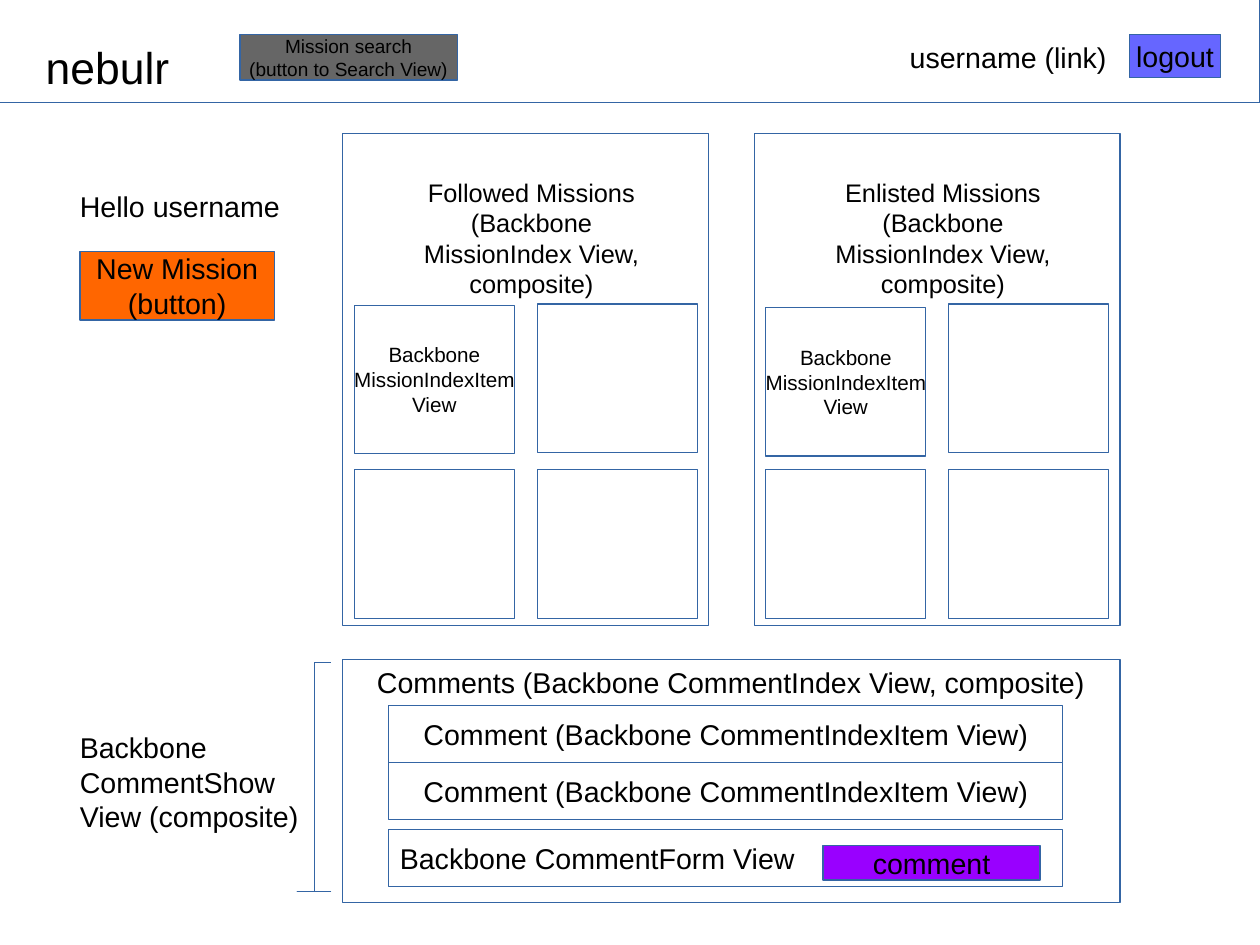
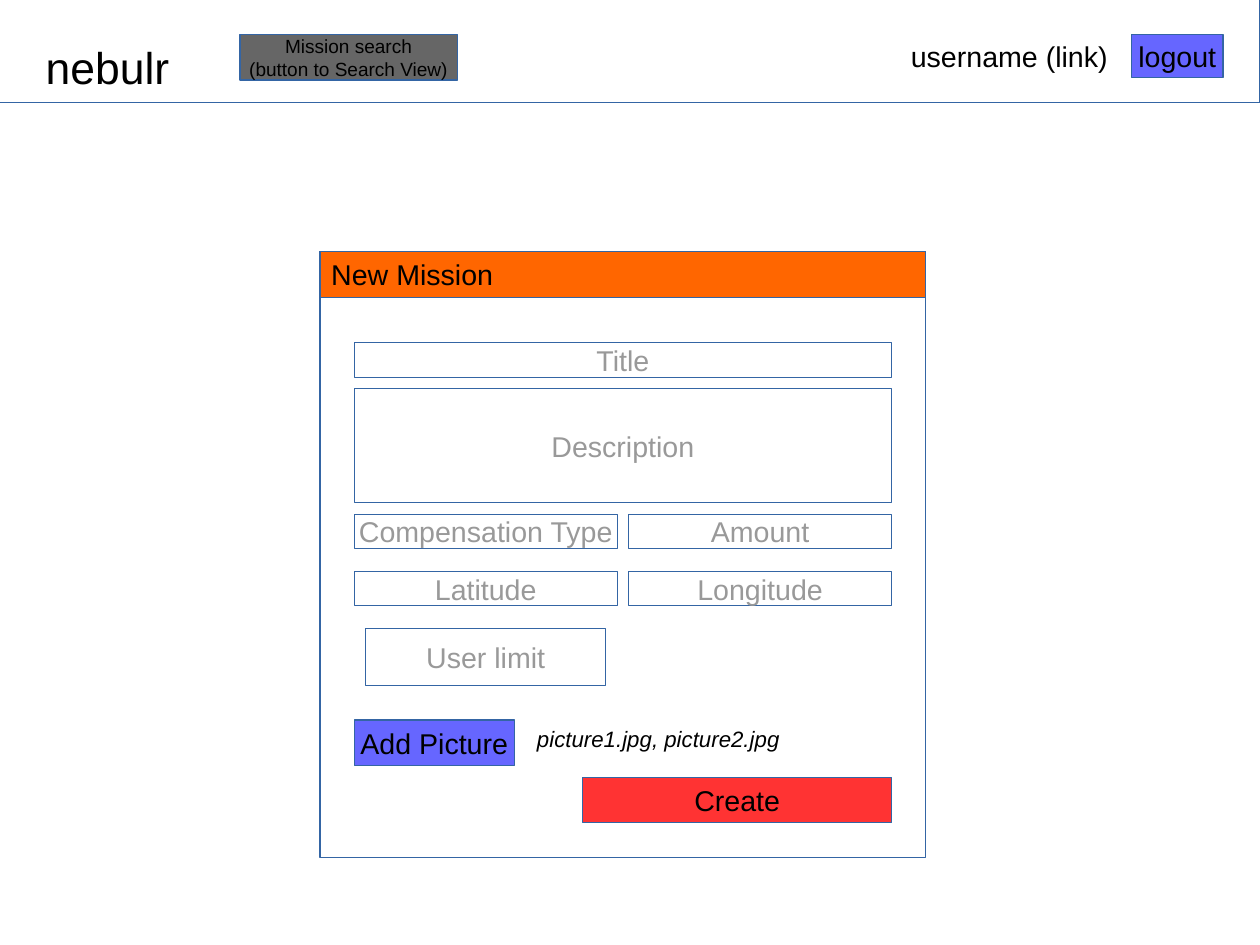
from dataclasses import dataclass

from pptx import Presentation
from pptx.dml.color import RGBColor
from pptx.enum.shapes import MSO_SHAPE as Preset
from pptx.enum.text import MSO_ANCHOR as Anchor, MSO_AUTO_SIZE as AutoSize, PP_ALIGN as Align
from pptx.oxml.ns import qn
from pptx.util import Inches, Pt


@dataclass(frozen=True)
class Theme:
    font: str = "Arial"
    ink: str = "000000"
    hint: str = "999999"
    white: str = "FFFFFF"
    line: str = "3465A4"
    gray: str = "666666"
    blue: str = "6666FF"
    orange: str = "FF6600"
    purple: str = "9900FF"
    red: str = "FF3333"
    line_width: float = 0.75
    brand: int = 28
    body: int = 18
    heading: int = 16
    caption: int = 14
    item: int = 13
    small: int = 12


THEME = Theme()
WIDTH, HEIGHT = 28 / 2.54, 21 / 2.54

BRAND = "nebulr"
SEARCH = ["Mission search", "(button to Search View)"]
USER = ["username (link)"]
LOGOUT = ["logout"]

GREETING = ["Hello username"]
NEW_MISSION = ["New Mission", "(button)"]
INDEX_VIEW = "(Backbone MissionIndex View, composite)"
ITEM_VIEW = ["Backbone", "MissionIndexItem", "View"]
PANELS = [
    {"left": 3, "item_top": 2.67, "heading": ["Followed Missions", INDEX_VIEW]},
    {"left": 6.6, "item_top": 2.69, "heading": ["Enlisted Missions", INDEX_VIEW]},
]
COMMENTS = ["Comments (Backbone CommentIndex View, composite)"]
COMMENT_ITEMS = ["Comment (Backbone CommentIndexItem View)"] * 2
COMMENT_FORM = ["Backbone CommentForm View"]
COMMENT_BUTTON = ["comment"]
COMMENT_SHOW = ["Backbone CommentShow View (composite)"]

FORM_TITLE = ["New Mission"]
FIELDS = [
    ("Title", (3.1, 3, 4.7, 0.3)),
    ("Description", (3.1, 3.4, 4.7, 1)),
    ("User limit", (3.2, 5.5, 2.1, 0.5)),
]
FIELD_PAIRS = [("Compensation Type", "Amount"), ("Latitude", "Longitude")]
ADD_PICTURE = ["Add Picture"]
PICTURES = ["picture1.jpg, picture2.jpg"]
CREATE = ["Create"]


def rgb(value):
    return RGBColor.from_string(value)


def write(frame, lines, size, color, align, italic=False):
    for index, line in enumerate(lines):
        para = frame.add_paragraph() if index else frame.paragraphs[0]
        para.alignment = align
        span = para.add_run()
        span.text = line
        span.font.name = THEME.font
        span.font.size = Pt(size)
        span.font.italic = italic
        span.font.color.rgb = rgb(color)


def add_box(page, at, lines=(), fill=THEME.white, size=THEME.body,
            color=THEME.ink, align=Align.CENTER):
    box = page.shapes.add_shape(Preset.RECTANGLE, *map(Inches, at))
    box.shadow.inherit = False
    box.fill.solid()
    box.fill.fore_color.rgb = rgb(fill)
    box.line.color.rgb = rgb(THEME.line)
    box.line.width = Pt(THEME.line_width)
    box.text_frame.vertical_anchor = Anchor.MIDDLE
    box.text_frame.word_wrap = align == Align.LEFT
    write(box.text_frame, lines, size, color, align)


def add_text(page, at, lines, size=THEME.body, align=Align.LEFT, italic=False):
    frame = page.shapes.add_textbox(*map(Inches, at)).text_frame
    frame.word_wrap = True
    write(frame, lines, size, THEME.ink, align, italic)


def add_page(deck, user_left, user_top, logout_left):
    page = deck.slides.add_slide(deck.slide_layouts[5])
    add_box(page, (-0.01, -0.01, WIDTH + 0.01, 0.91))
    add_box(page, (2.1, 0.3, 1.9, 0.4), SEARCH, THEME.gray, THEME.small)
    add_text(page, (user_left, user_top, 2.3, 0.38), USER, align=Align.RIGHT)
    add_box(page, (logout_left, 0.3, 0.8, 0.38), LOGOUT, THEME.blue)

    title = page.shapes.title
    title.left, title.top, title.width, title.height = map(Inches, (0.3, 0.3, 2.8, 0.53))
    frame = title.text_frame
    frame.auto_size = AutoSize.NONE
    frame.vertical_anchor = Anchor.TOP
    write(frame, [BRAND], THEME.brand, THEME.ink, Align.LEFT)
    title.element.getparent().append(title.element)
    return page


def add_panel(page, left, item_top, heading):
    add_box(page, (left, 1.17, 3.2, 4.3))
    add_text(page, (left + 0.4, 1.5, 2.5, 1.1), heading, THEME.heading, Align.CENTER)
    for row in range(2):
        for column in range(2):
            first = row == column == 0
            top = item_top if first else 2.66 + row * 1.45
            add_box(page, (left + 0.1 + column * 1.6, top, 1.4, 1.3),
                    ITEM_VIEW if first else (), size=THEME.item)


def add_brace(page, at):
    brace = page.shapes.add_shape(Preset.LEFT_BRACE, *map(Inches, at))
    brace.shadow.inherit = False
    brace.fill.background()
    brace.line.color.rgb = rgb(THEME.line)
    brace.line.width = Pt(THEME.line_width)
    brace.adjustments[0] = 0.018
    brace.adjustments[1] = 1


def build_home(deck):
    page = add_page(deck, 7.48, 0.3, 9.88)
    add_text(page, (0.6, 1.6, 2.5, 0.38), GREETING)
    add_box(page, (0.7, 2.2, 1.7, 0.6), NEW_MISSION, THEME.orange)
    for panel in PANELS:
        add_panel(page, **panel)
    add_box(page, (3, 5.77, 6.8, 2.13))
    add_text(page, (3.2, 5.77, 6.4, 0.66), COMMENTS)
    for index, comment in enumerate(COMMENT_ITEMS):
        add_box(page, (3.4, 6.17 + index * 0.5, 5.9, 0.5), [comment])
    add_box(page, (3.4, 7.26, 5.9, 0.5), COMMENT_FORM, align=Align.LEFT)
    add_box(page, (7.2, 7.4, 1.9, 0.3), COMMENT_BUTTON, THEME.purple)
    add_brace(page, (2.6, 5.8, 0.3, 2))
    add_text(page, (0.6, 6.34, 2.2, 2.06), COMMENT_SHOW)


def build_mission_form(deck):
    page = add_page(deck, 7.49, 0.29, 9.9)
    add_box(page, (2.8, 2.2, 5.3, 5.3))
    add_box(page, (2.8, 2.2, 5.3, 0.4), FORM_TITLE, THEME.orange, align=Align.LEFT)
    pairs = [(label, (3.1 + column * 2.4, 4.5 + row * 0.5, 2.3, 0.3))
             for row, pair in enumerate(FIELD_PAIRS)
             for column, label in enumerate(pair)]
    for label, at in FIELDS + pairs:
        add_box(page, at, [label], color=THEME.hint)
    add_box(page, (3.1, 6.3, 1.4, 0.4), ADD_PICTURE, THEME.blue)
    add_text(page, (4.6, 6.3, 2.4, 0.32), PICTURES, THEME.caption, italic=True)
    add_box(page, (5.1, 6.8, 2.7, 0.4), CREATE, THEME.red)


def main():
    deck = Presentation()
    deck.slide_width, deck.slide_height = Inches(WIDTH), Inches(HEIGHT)
    deck.element.find(qn("p:sldSz")).attrib.pop("type", None)
    build_home(deck)
    build_mission_form(deck)
    deck.save("out.pptx")


if __name__ == "__main__":
    main()
